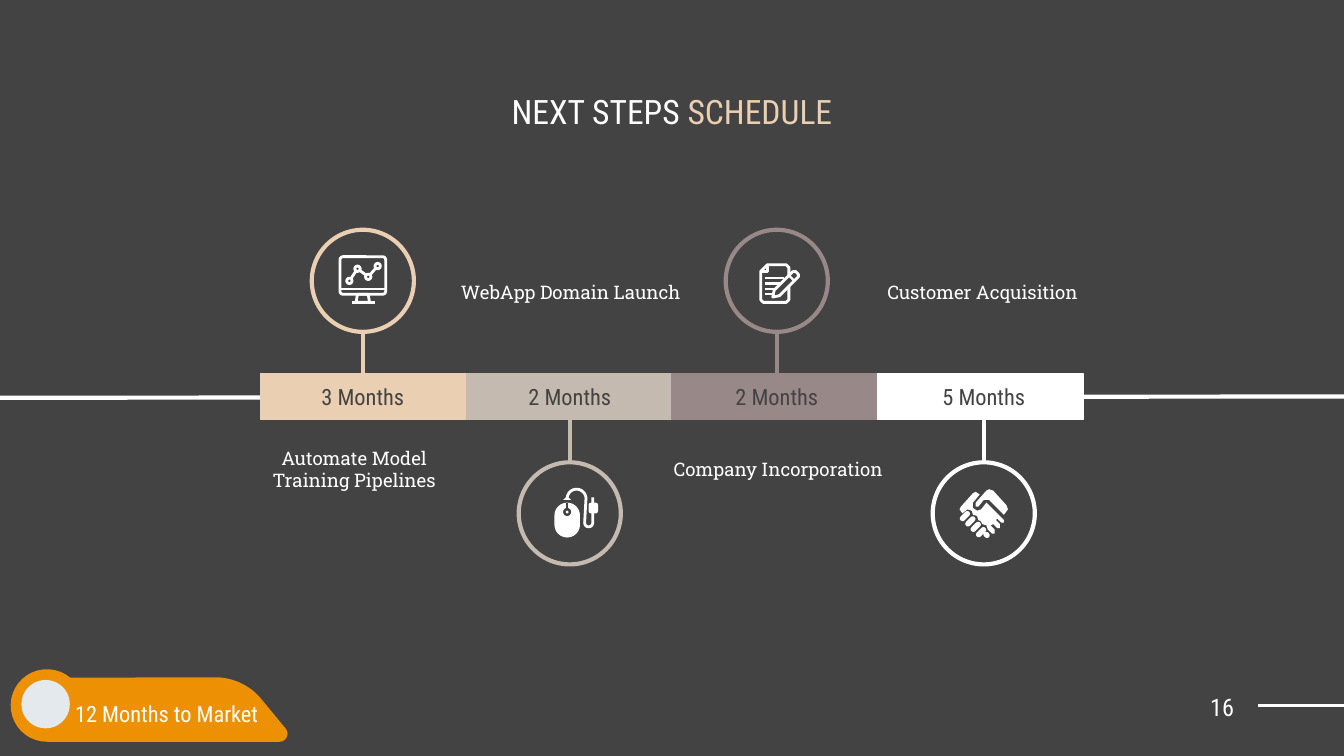
from math import cos, radians, sin

from lxml import etree
from pptx import Presentation
from pptx.dml.color import RGBColor
from pptx.enum.shapes import MSO_CONNECTOR, MSO_SHAPE
from pptx.enum.text import MSO_ANCHOR, PP_ALIGN
from pptx.oxml.ns import qn
from pptx.util import Inches, Pt

COLORS = {
    "dark": "434343", "white": "FFFFFF", "peach": "EBCFB2", "sand": "C5BAAF",
    "mauve": "998888", "orange": "ED9004", "ice": "E3E9ED",
}
HEAD, BODY = "Roboto Condensed", "Roboto Slab"


def rgb(name):
    return RGBColor.from_string(COLORS[name])


def arc(cx, cy, radius, start, end, steps=24):
    """Points on an arc; angles in degrees, clockwise from the right."""
    angles = [radians(start + (end - start) * i / steps) for i in range(steps + 1)]
    return [(cx + radius * cos(a), cy + radius * sin(a)) for a in angles]


def add_run(p, text, size=12, font=HEAD, color="white"):
    r = p.add_run()
    r.text = text
    r.font.size, r.font.name = Pt(size), font
    r.font.color.rgb = rgb(color)


class Deck:
    def __init__(self, width, height):
        self.prs = Presentation()
        self.prs.slide_width, self.prs.slide_height = Inches(width), Inches(height)
        self.s = self.prs.slides.add_slide(self.prs.slide_layouts[6])
        self.s.background.fill.solid()
        self.s.background.fill.fore_color.rgb = rgb("dark")

    def style(self, sp, fill=None, line=None, weight=0.75):
        sp.shadow.inherit = False
        if fill:
            sp.fill.solid()
            sp.fill.fore_color.rgb = rgb(fill)
        else:
            sp.fill.background()
        if line:
            sp.line.color.rgb = rgb(line)
            sp.line.width = Pt(weight)
        else:
            sp.line.fill.background()
        return sp

    def shape(self, kind, x, y, w, h, round_by=None, turn=0, **look):
        sp = self.s.shapes.add_shape(kind, Inches(x), Inches(y), Inches(w), Inches(h))
        if round_by is not None:
            sp.adjustments[0] = round_by
        sp.rotation = turn
        return self.style(sp, **look)

    def pill(self, cx, cy, w, h, turn=0, **look):
        return self.shape(MSO_SHAPE.ROUNDED_RECTANGLE, cx - w / 2, cy - h / 2, w, h,
                          round_by=0.5, turn=turn, **look)

    def dot(self, cx, cy, radius, **look):
        return self.shape(MSO_SHAPE.OVAL, cx - radius, cy - radius,
                          2 * radius, 2 * radius, **look)

    def outline(self, points, close=True, **look):
        pts = [(Inches(x), Inches(y)) for x, y in points]
        builder = self.s.shapes.build_freeform(*pts[0])
        builder.add_line_segments(pts[1:], close=close)
        return self.style(builder.convert_to_shape(), **look)

    def line(self, x1, y1, x2, y2, color="white", weight=2.25):
        cx = self.s.shapes.add_connector(
            MSO_CONNECTOR.STRAIGHT, Inches(x1), Inches(y1), Inches(x2), Inches(y2))
        cx.line.color.rgb = rgb(color)
        cx.line.width = Pt(weight)
        etree.SubElement(cx._element.spPr, qn("a:effectLst"))

    def text(self, runs, x, y, w, h, align=PP_ALIGN.CENTER, **fmt):
        tf = self.s.shapes.add_textbox(
            Inches(x), Inches(y), Inches(w), Inches(h)).text_frame
        tf.word_wrap = True
        tf.vertical_anchor = MSO_ANCHOR.MIDDLE
        tf.margin_left = tf.margin_right = Inches(0.1)
        tf.margin_top = tf.margin_bottom = Inches(0.1)
        p = tf.paragraphs[0]
        p.alignment = align
        for content, color in runs:
            add_run(p, content, color=color, **fmt)


def monitor_icon(deck):
    deck.shape(MSO_SHAPE.ROUNDED_RECTANGLE, 2.53, 1.91, 0.34, 0.28,
               round_by=0.08, line="white", weight=1.5)
    deck.line(2.53, 2.15, 2.87, 2.15, weight=1.5)
    deck.outline([(2.66, 2.19), (2.65, 2.25), (2.75, 2.25), (2.74, 2.19)],
                 line="white", weight=1.5)
    deck.line(2.62, 2.25, 2.79, 2.25, weight=1.5)
    nodes = [(2.6, 2.09), (2.66, 2), (2.74, 2.06), (2.81, 1.98)]
    deck.outline(nodes, close=False, line="white", weight=1.5)
    for x, y in nodes:
        deck.dot(x, y, 0.02, fill="dark", line="white", weight=1.5)


def document_icon(deck):
    deck.outline([(5.71, 1.97), (5.85, 1.97), (5.87, 1.99), (5.87, 2.23), (5.85, 2.25),
                  (5.68, 2.25), (5.66, 2.23), (5.66, 2.02)], line="white", weight=1.5)
    deck.outline([(5.66, 2.02), (5.71, 2.02), (5.71, 1.97)], close=False,
                 line="white", weight=1.5)
    for i, end in enumerate([5.83, 5.81, 5.78, 5.75]):
        y = 2.07 + 0.04 * i
        deck.line(5.69, y, end, y, weight=1.25)
    # Pencil
    deck.outline([(5.75, 2.21), (5.76, 2.16), (5.9, 2.02), (5.92, 2.02), (5.94, 2.04),
                  (5.94, 2.06), (5.8, 2.2)], fill="dark", line="white", weight=1.5)
    deck.line(5.87, 2.05, 5.91, 2.09, weight=1.25)


def mouse_icon(deck):
    cable = (arc(4.29, 3.71, 0.07, 180, 360) + arc(4.38, 3.89, 0.03, 180, 0)
             + [(4.41, 3.7)])
    deck.outline(cable, close=False, line="white", weight=1.5)
    deck.outline([(4.19, 3.72), (4.21, 3.7), (4.23, 3.7), (4.25, 3.72)], fill="white")
    deck.pill(4.22, 3.87, 0.19, 0.26, fill="white")
    deck.line(4.22, 3.74, 4.22, 3.79, color="dark", weight=1.25)
    deck.dot(4.22, 3.81, 0.03, fill="dark")
    deck.dot(4.22, 3.81, 0.01, fill="white")
    deck.shape(MSO_SHAPE.ROUNDED_RECTANGLE, 4.38, 3.74, 0.07, 0.08,
               round_by=0.25, fill="white")


def handshake_icon(deck):
    for i in range(4):
        deck.pill(7.18 + 0.04 * i, 3.84 + 0.04 * i, 0.09, 0.04, turn=-45, fill="white")
    deck.pill(7.34, 3.98, 0.05, 0.04, turn=45, fill="white")
    deck.outline([(7.26, 3.66), (7.29, 3.68), (7.24, 3.74), (7.24, 3.78), (7.27, 3.8),
                  (7.3, 3.79), (7.34, 3.74), (7.47, 3.87), (7.47, 3.89), (7.45, 3.89),
                  (7.42, 3.86), (7.41, 3.87), (7.44, 3.9), (7.44, 3.93), (7.42, 3.93),
                  (7.39, 3.9), (7.37, 3.91), (7.4, 3.94), (7.4, 3.97), (7.38, 3.97),
                  (7.35, 3.94), (7.34, 3.91), (7.31, 3.9), (7.3, 3.88), (7.28, 3.87),
                  (7.27, 3.84), (7.24, 3.83), (7.23, 3.8), (7.2, 3.79), (7.16, 3.82),
                  (7.14, 3.79), (7.15, 3.77), (7.24, 3.67)], fill="white")
    deck.outline([(7.36, 3.64), (7.39, 3.65), (7.49, 3.76), (7.5, 3.79), (7.47, 3.83),
                  (7.36, 3.72), (7.32, 3.72), (7.28, 3.77), (7.26, 3.77), (7.26, 3.74),
                  (7.34, 3.65)], fill="white")


# Length, colour, caption, caption left and width, icon
STEPS = [
    ("3 Months", "peach", "Automate Model Training Pipelines", 1.73, 1.81, monitor_icon),
    ("2 Months", "sand", "WebApp Domain Launch", 3.26, 1.97, mouse_icon),
    ("2 Months", "mauve", "Company Incorporation", 4.84, 1.9, document_icon),
    ("5 Months", "white", "Customer Acquisition", 6.38, 1.86, handshake_icon),
]


def main():
    deck = Deck(10, 10 * 9 / 16)

    # Title
    deck.text([("NEXT STEPS ", "white"), ("SCHEDULE", "peach")],
              2.15, 0.31, 5.7, 1.03, size=18)

    # Timeline: rings alternate above and below the bars
    deck.line(-0.04, 2.96, 10.02, 2.95)
    for i, (length, color, caption, left, width, icon) in enumerate(STEPS):
        center = 2.7 + 1.54 * i
        above = i % 2 == 0
        edge, ring_edge, ring_y = (2.78, 2.47, 2.09) if above else (3.12, 3.44, 3.82)
        deck.shape(MSO_SHAPE.RECTANGLE, 1.94 + 1.53 * i, 2.78, 1.53, 0.34,
                   fill=color, line=color)
        deck.line(center, edge, center, ring_edge, color=color)
        deck.dot(center, ring_y, 0.38, line=color, weight=2.25)
        icon(deck)
        deck.text([(length, "dark")], center - 0.49, 2.74, 0.98, 0.42)
        deck.text([(caption, "white")], left, 3.28 if above else 1.96, width, 0.42,
                  size=10, font=BODY)

    # Total time badge
    deck.outline(arc(0.35, 5.25, 0.27, 90, 310) + arc(1.6, 5.49, 0.45, 270, 317)
                 + arc(2.08, 5.46, 0.06, -42, 90), fill="orange")
    deck.dot(0.34, 5.24, 0.18, fill="ice")
    deck.text([("12 Months to Market", "white")], 0.46, 5.1, 1.78, 0.42,
              align=PP_ALIGN.LEFT)

    # Page number
    deck.line(9.36, 5.25, 10, 5.25, weight=1.5)
    deck.text([("16", "white")], 8.68, 5.11, 0.6, 0.3, align=PP_ALIGN.RIGHT, size=13)

    deck.prs.save("out.pptx")


if __name__ == "__main__":
    main()
